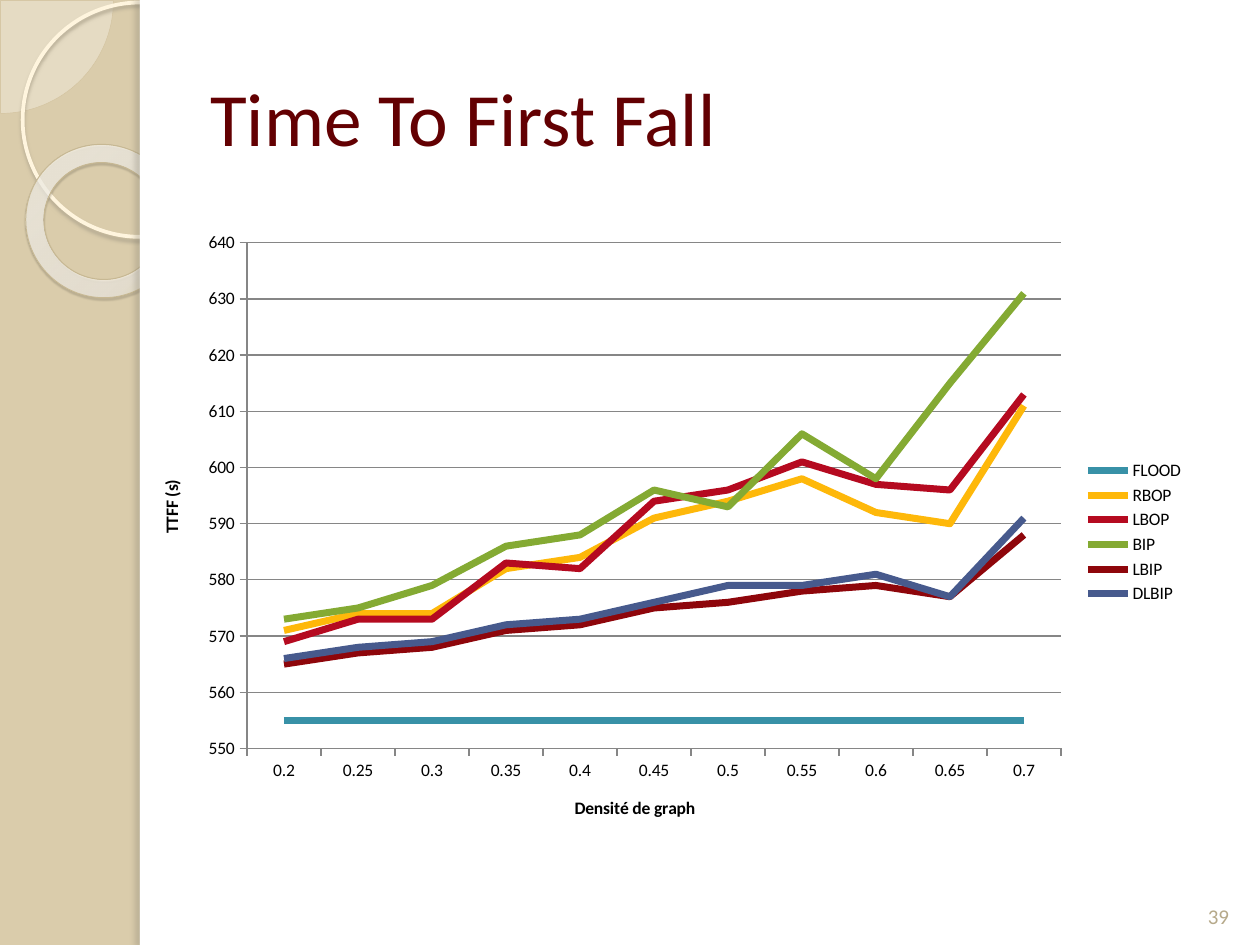
from lxml import etree
from pptx import Presentation
from pptx.chart.data import CategoryChartData
from pptx.dml.color import RGBColor
from pptx.enum.chart import XL_CHART_TYPE, XL_LEGEND_POSITION, XL_TICK_MARK
from pptx.enum.shapes import MSO_SHAPE
from pptx.enum.text import MSO_ANCHOR, PP_ALIGN
from pptx.oxml.ns import qn
from pptx.util import Inches, Pt

PIE, OVAL, RING, RECT = (MSO_SHAPE.PIE, MSO_SHAPE.OVAL, MSO_SHAPE.DONUT,
                         MSO_SHAPE.RECTANGLE)
LINE = XL_CHART_TYPE.LINE
RIGHT = XL_LEGEND_POSITION.RIGHT
OUT, NONE = XL_TICK_MARK.OUTSIDE, XL_TICK_MARK.NONE
MIDDLE, BOTTOM = MSO_ANCHOR.MIDDLE, MSO_ANCHOR.BOTTOM
LEFT, CENTER = PP_ALIGN.LEFT, PP_ALIGN.CENTER

DENSITY = ["0.2", "0.25", "0.3", "0.35", "0.4", "0.45",
           "0.5", "0.55", "0.6", "0.65", "0.7"]
SERIES = [
    ("FLOOD", "3891A7", [555] * len(DENSITY)),
    ("RBOP", "FEB80A", [571, 574, 574, 582, 584, 591, 594, 598, 592, 590, 611]),
    ("LBOP", "B50A20", [569, 573, 573, 583, 582, 594, 596, 601, 597, 596, 613]),
    ("BIP", "84AA33", [573, 575, 579, 586, 588, 596, 593, 606, 598, 615, 631]),
    ("LBIP", "8E060B", [565, 567, 568, 571, 572, 575, 576, 578, 579, 577, 588]),
    ("DLBIP", "475A8D", [566, 568, 569, 572, 573, 576, 579, 579, 581, 577, 591]),
]


def color(text):
    return RGBColor.from_string(text)


def add(parent, tag, **attrs):
    return etree.SubElement(parent, qn(tag), {k: str(v) for k, v in attrs.items()})


def tint(parent, shade, alpha):
    node = add(parent, "a:srgbClr", val=shade)
    add(node, "a:alpha", val=alpha * 1000)


class Painter:
    font = "Calibri"
    axis = "868686"

    def __init__(self, slide):
        self.slide = slide

    def back(self, shade):
        fill = self.slide.background.fill
        fill.solid()
        fill.fore_color.rgb = color(shade)

    def shape(self, kind, box, fill=None, alpha=100, line=None, width=1,
              adjust=(), turn=0):
        item = self.slide.shapes.add_shape(kind, *map(Inches, box))
        item.shadow.inherit = False
        item.rotation = turn
        for i, value in enumerate(adjust):
            item.adjustments[i] = value
        if fill:
            item.fill.solid()
            item.fill.fore_color.rgb = color(fill)
            if alpha < 100:
                shade = item.fill._xPr.find(".//" + qn("a:srgbClr"))
                add(shade, "a:alpha", val=alpha * 1000)
        else:
            item.fill.background()
        if line:
            item.line.color.rgb = color(line)
            item.line.width = Pt(width)
        else:
            item.line.fill.background()
        return item

    def glow(self, item, stops, rect):
        props = item._element.spPr
        old = props.find(qn("a:noFill"))
        grad = etree.Element(qn("a:gradFill"), rotWithShape="1")
        marks = add(grad, "a:gsLst")
        for place, shade, alpha in stops:
            tint(add(marks, "a:gs", pos=place * 1000), shade, alpha)
        curve = add(grad, "a:path", path="circle")
        sides = {side: value * 1000 for side, value in zip("ltrb", rect)}
        add(curve, "a:fillToRect", **sides)
        props.replace(old, grad)

    def shadow(self, item, shade, alpha, blur, dist, angle):
        effects = item._element.spPr.find(qn("a:effectLst"))
        node = add(effects, "a:outerShdw", blurRad=Pt(blur), dist=Pt(dist),
                   dir=angle * 60000, algn="tl", rotWithShape=0)
        tint(node, shade, alpha)

    def style(self, font, size, shade, bold=False):
        font.name = self.font
        font.size = Pt(size)
        font.bold = bold
        font.color.rgb = color(shade)

    def text(self, box, words, size, shade, anchor, align=LEFT):
        frame = self.slide.shapes.add_textbox(*map(Inches, box)).text_frame
        frame.word_wrap = True
        frame.vertical_anchor = anchor
        para = frame.paragraphs[0]
        para.text = words
        para.alignment = align
        self.style(para.font, size, shade)

    def scale(self, axis, title):
        para = axis.axis_title.text_frame.paragraphs[0]
        para.text = title
        self.style(para.font, 10, "000000", True)
        axis.major_tick_mark = OUT
        axis.minor_tick_mark = NONE
        self.rule(axis.format.line)

    def rule(self, line):
        line.color.rgb = color(self.axis)
        line.width = Pt(0.75)

    def chart(self, box, names, series, across, up, low):
        data = CategoryChartData()
        data.categories = names
        for name, _, values in series:
            data.add_series(name, values)
        chart = self.slide.shapes.add_chart(LINE, *map(Inches, box), data).chart
        self.style(chart.font, 10, "000000")
        chart.has_title = False
        chart.has_legend = True
        chart.legend.position = RIGHT
        chart.legend.include_in_layout = False
        self.scale(chart.category_axis, across)
        self.scale(chart.value_axis, up)
        chart.value_axis.minimum_scale = low
        chart.value_axis.has_major_gridlines = True
        self.rule(chart.value_axis.major_gridlines.format.line)
        plot = chart.plots[0]
        plot.vary_by_categories = False
        for item, (_, shade, _) in zip(plot.series, series):
            item.smooth = False
            item.format.line.color.rgb = color(shade)
            item.format.line.width = Pt(4)


def main():
    deck = Presentation()
    deck.slide_width, deck.slide_height = Inches(10), Inches(7.5)
    art = Painter(deck.slides.add_slide(deck.slide_layouts[6]))
    art.back("DACCAB")

    art.shape(PIE, (-0.89, -0.89, 1.79, 1.79), "FEFAF4", 33, "D3C39F", 0.25,
              (0, 54.02))
    hoop = art.shape(OVAL, (0.18, 0.02, 1.86, 1.86), line="FFF5DE", width=2.15)
    art.shadow(hoop, "B0A68F", 85, 2, 2, 90)
    ring = art.shape(RING, (0.2, 1.15, 1.23, 1.21), line="C7B893", width=0.58,
                     adjust=(0.12,), turn=38.6)
    art.glow(ring, [(0, "FFFCF6", 70), (70, "FFFEFB", 55), (100, "F0D28E", 60)],
             (-408, -50, 508, 150))
    art.shadow(ring, "5A5444", 35, 1, 1.2, 75)
    art.shape(RECT, (1.11, 0, 8.89, 7.5), "FFFFFF")
    edge = art.shape(RECT, (1.11, 0, 0.08, 7.5), "FFFFFF")
    art.shadow(edge, "736F63", 25, 3, 3, 180)

    art.text((1.57, 0.3, 8.2, 1.25), "Time To First Fall", 43, "630002", MIDDLE)
    art.chart((1.07, 1.75, 8.43, 4.95), DENSITY, SERIES,
              "Densité de graph", "TTFF (s)", 550)
    art.text((9.42, 6.9, 0.5, 0.52), "39", 12, "B6A98A", BOTTOM, CENTER)
    deck.save("out.pptx")


if __name__ == "__main__":
    main()
